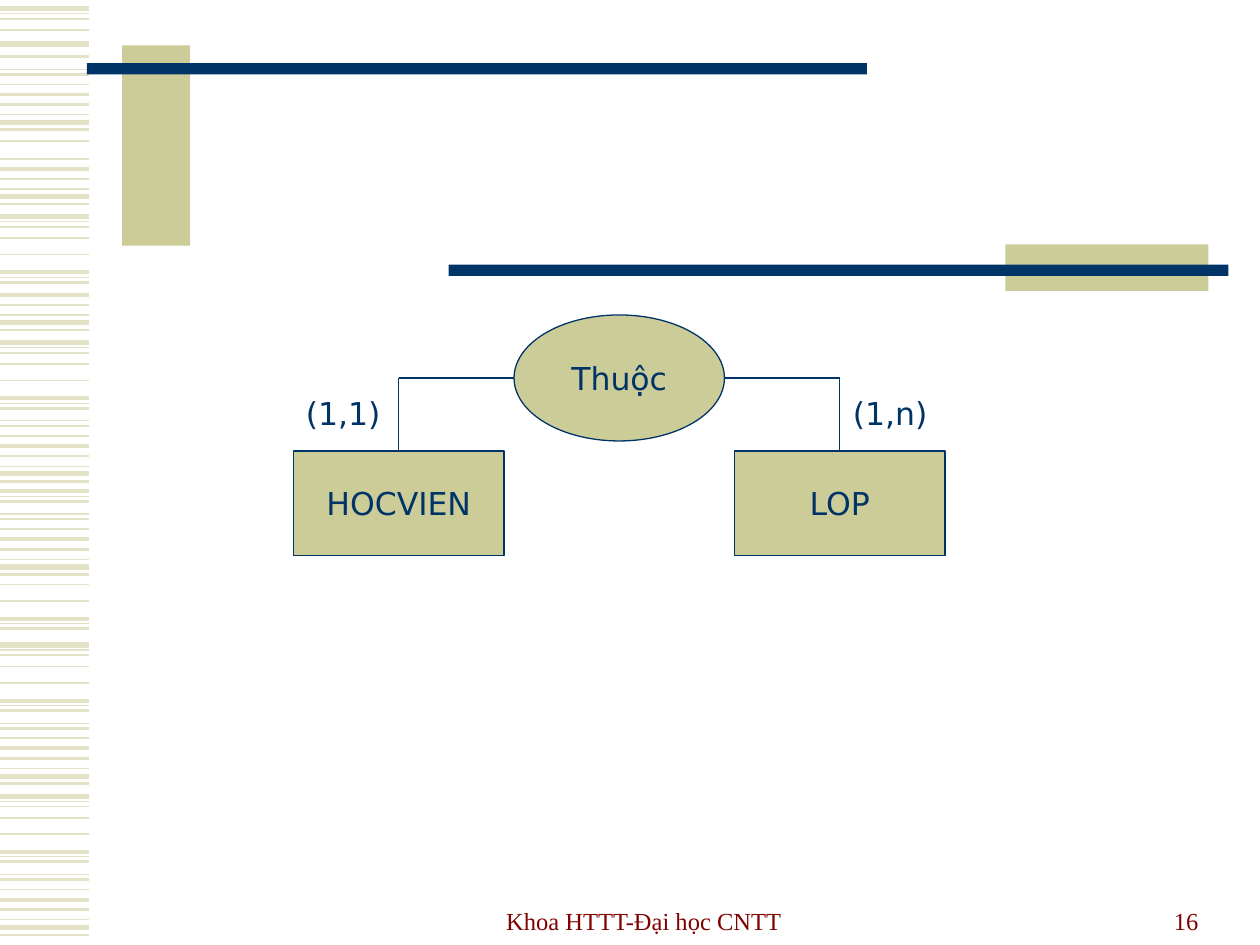
from pptx import Presentation
from pptx.dml.color import RGBColor
from pptx.enum.shapes import MSO_CONNECTOR, MSO_SHAPE
from pptx.enum.text import MSO_ANCHOR, MSO_AUTO_SIZE, PP_ALIGN
from pptx.oxml.ns import qn
from pptx.util import Inches, Pt
from lxml import etree

RECTANGLE, OVAL = MSO_SHAPE.RECTANGLE, MSO_SHAPE.OVAL
STRAIGHT = MSO_CONNECTOR.STRAIGHT
LEFT, CENTER, RIGHT = PP_ALIGN.LEFT, PP_ALIGN.CENTER, PP_ALIGN.RIGHT
MIDDLE, BOTTOM = MSO_ANCHOR.MIDDLE, MSO_ANCHOR.BOTTOM
GROW = MSO_AUTO_SIZE.SHAPE_TO_FIT_TEXT

# Stripe motifs: (offset from the motif's start in inches, line width in points)
DENSE = [(0, 1), (0.08, 2.25), (0.16, 1.5), (0.24, 0.75), (0.3, 3), (0.36, 1.5)]
LOOSE = [(0, 3), (0.04, 0.75), (0.08, 1), (0.17, 1), (0.3, 1), (0.44, 2.25),
         (0.48, 0.75), (0.52, 1.5), (0.62, 0.75), (0.66, 1.5)]
# Each band down the left margin: start of the motif, stripes used
STRIPE_BANDS = [
    (0.07, LOOSE[:4]), (0.35, [(0, 3)]), (-0.07, LOOSE[7:]),
    (0.67, DENSE), (1.12, [(0, 1)]), (1.26, DENSE),
    (1.72, LOOSE[:8]), (2.26, DENSE[1:]), (2.72, LOOSE),
    (3.46, DENSE), (3.46, LOOSE[5:]), (4.2, DENSE),
    (4.47, LOOSE[3:8]), (5.12, LOOSE), (5.86, DENSE),
    (6.32, LOOSE), (7.06, DENSE),
]


def color(hex_string):
    return RGBColor.from_string(hex_string)


class SlideBuilder:
    navy, khaki, pale, maroon = "003366", "CCCC99", "E3E2C7", "800000"
    diagram_font, footer_font = "DejaVu Sans", "Times New Roman"

    def __init__(self, slide):
        self.slide = slide

    def line(self, x1, y1, x2, y2, line_color, width=0.75):
        connector = self.slide.shapes.add_connector(
            STRAIGHT, Inches(x1), Inches(y1), Inches(x2), Inches(y2))
        connector.line.color.rgb = color(line_color)
        connector.line.width = Pt(width)
        etree.SubElement(connector._element.spPr, qn("a:effectLst"))

    def block(self, kind, x, y, width, height, fill):
        shape = self.slide.shapes.add_shape(
            kind, Inches(x), Inches(y), Inches(width), Inches(height))
        shape.shadow.inherit = False
        shape.fill.solid()
        shape.fill.fore_color.rgb = color(fill)
        shape.line.fill.background()
        return shape

    def add_text(self, shape, text, align, size, font, text_color):
        paragraph = shape.text_frame.paragraphs[0]
        paragraph.alignment = align
        run = paragraph.add_run()
        run.text = text
        run.font.size = Pt(size)
        run.font.name = font
        run.font.color.rgb = color(text_color)
        return paragraph

    def node(self, kind, text, x, y, width, height):
        """Draw an outlined entity or relationship with its name."""
        shape = self.block(kind, x, y, width, height, self.khaki)
        shape.line.color.rgb = color(self.navy)
        shape.line.width = Pt(0.75)
        shape.text_frame.word_wrap = False
        shape.text_frame.vertical_anchor = MIDDLE
        self.add_text(shape, text, CENTER, 18, self.diagram_font, self.navy)

    def text_box(self, x, y, width, height):
        box = self.slide.shapes.add_textbox(
            Inches(x), Inches(y), Inches(width), Inches(height))
        box.text_frame.word_wrap = True
        return box

    def cardinality(self, text, x, y):
        box = self.text_box(x, y, 1, 0.4)
        box.text_frame.auto_size = GROW
        paragraph = self.add_text(
            box, text, LEFT, 18, self.diagram_font, self.navy)
        paragraph.space_before = Pt(11.2)

    def footer(self, text, x, width, align):
        box = self.text_box(x, 6.97, width, 0.5)
        box.text_frame.vertical_anchor = BOTTOM
        self.add_text(box, text, align, 14, self.footer_font, self.maroon)


def main():
    presentation = Presentation()
    presentation.slide_width, presentation.slide_height = Inches(10), Inches(7.5)
    builder = SlideBuilder(
        presentation.slides.add_slide(presentation.slide_layouts[6]))

    for start, stripes in STRIPE_BANDS:
        for offset, width in stripes:
            y = start + offset
            builder.line(0, y, 0.71, y, builder.pale, width)

    for x, y, width, height, fill in [
        (0.97, 0.36, 0.54, 1.59, builder.khaki),
        (0.69, 0.5, 6.19, 0.09, builder.navy),
        (7.98, 1.94, 1.61, 0.37, builder.khaki),
        (3.56, 2.1, 6.19, 0.09, builder.navy),
    ]:
        builder.block(RECTANGLE, x, y, width, height, fill)

    node_width, relation_x, relation_y, entity_y = 1.67, 4.08, 3, 3.58
    builder.node(OVAL, "Thuộc", relation_x, relation_y - 0.5, node_width, 1)
    for name, cardinality, entity_x, label_x, relation_edge in [
        ("HOCVIEN", "(1,1)", 2.33, 2.33, relation_x),
        ("LOP", "(1,n)", 5.83, 6.67, relation_x + node_width),
    ]:
        center_x = entity_x + node_width / 2
        builder.line(relation_edge, relation_y, center_x, relation_y, builder.navy)
        builder.line(center_x, relation_y, center_x, entity_y, builder.navy)
        builder.node(RECTANGLE, name, entity_x, entity_y, node_width, 0.83)
        builder.cardinality(cardinality, label_x, 3.08)

    builder.footer("Khoa HTTT-Đại học CNTT", 3.42, 3.38, CENTER)
    builder.footer("16", 7.21, 2.4, RIGHT)
    presentation.save("out.pptx")


if __name__ == "__main__":
    main()
